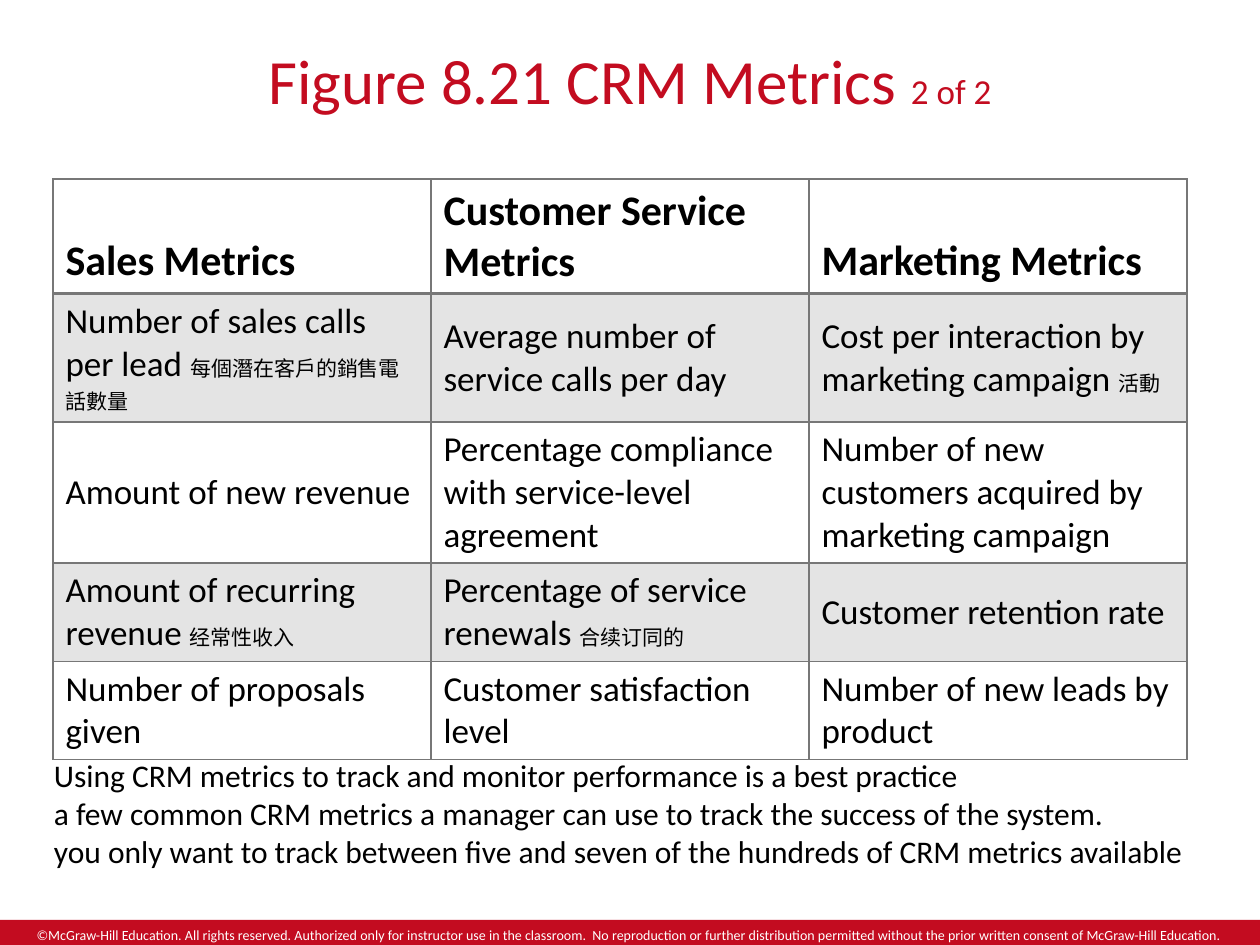
"""Builds the CRM metrics table slide."""
from lxml.etree import SubElement
from pptx import Presentation
from pptx.dml.color import RGBColor
from pptx.enum.shapes import MSO_SHAPE
from pptx.enum.text import MSO_ANCHOR, PP_ALIGN
from pptx.oxml.ns import qn
from pptx.util import Inches, Pt

RED = RGBColor(0xC3, 0x0C, 0x20)
WHITE = RGBColor(0xFF, 0xFF, 0xFF)
BLACK = RGBColor(0, 0, 0)
BAND = RGBColor(0xE4, 0xE4, 0xE4)
RULE = RGBColor(0x77, 0x77, 0x77)

ROW_HEIGHTS = [0.91, 1.02, 1.12, 0.78, 0.78]
METRICS = [
    [("Sales Metrics",), ("Customer Service Metrics",), ("Marketing Metrics",)],
    [("Number of sales calls per lead ", "每個潛在客戶的銷售電話數量"),
     ("Average number of service calls per day",),
     ("Cost per interaction by marketing campaign ", "活動")],
    [("Amount of new revenue",),
     ("Percentage compliance with service-level agreement",),
     ("Number of new customers acquired by marketing campaign",)],
    [("Amount of recurring revenue ", "经常性收入"),
     ("Percentage of service renewals ", "合续订同的"),
     ("Customer retention rate",)],
    [("Number of proposals given",), ("Customer satisfaction level",),
     ("Number of new leads by product",)],
]
NOTES = [
    "Using CRM metrics to track and monitor performance is a best practice",
    "a few common CRM metrics a manager can use to track the success of the system.",
    "you only want to track between five and seven of the hundreds of CRM metrics available",
]
COPYRIGHT = (
    "©McGraw-Hill Education. All rights reserved. Authorized only for instructor use "
    "in the classroom.  No reproduction or further distribution permitted without "
    "the prior written consent of McGraw-Hill Education."
)


class SlideBuilder:
    """Holds the style and the current slide."""

    def __init__(self, page, font_name="Calibri"):
        self.page = page
        self.font_name = font_name

    def apply(self, target, formats):
        for name, value in formats.items():
            setattr(target, name, value)

    def fill_text(self, frame, paragraphs, color, align=PP_ALIGN.LEFT, bold=False):
        for index, spans in enumerate(paragraphs):
            para = frame.add_paragraph() if index else frame.paragraphs[0]
            para.alignment = align
            for text, size in spans:
                span = para.add_run()
                span.text = text
                self.apply(span.font, {"name": self.font_name, "size": Pt(size), "bold": bold})
                span.font.color.rgb = color

    def text(self, place, paragraphs, color, align=PP_ALIGN.LEFT, **formats):
        box = self.page.shapes.add_textbox(*map(Inches, place))
        self.apply(box.text_frame, {"word_wrap": True, **formats})
        self.fill_text(box.text_frame, paragraphs, color, align)

    def bar(self, place, paragraphs, fill, color):
        box = self.page.shapes.add_shape(MSO_SHAPE.RECTANGLE, *map(Inches, place))
        box.shadow.inherit = False
        box.fill.solid()
        box.fill.fore_color.rgb = fill
        box.line.fill.background()
        self.apply(box.text_frame, {"word_wrap": True, "vertical_anchor": MSO_ANCHOR.MIDDLE})
        self.fill_text(box.text_frame, paragraphs, color, PP_ALIGN.CENTER)

    def borders(self, cell, widths):
        properties = cell._tc.get_or_add_tcPr()
        for side, width in widths.items():
            line = SubElement(properties, qn(f"a:ln{side}"), w=str(Pt(width)))
            fill = SubElement(line, qn("a:solidFill"))
            SubElement(fill, qn("a:srgbClr"), val=str(RULE))

    def table(self, place, rows, heights):
        frame = self.page.shapes.add_table(len(rows), len(rows[0]), *map(Inches, place))
        table = frame.table
        self.apply(table, {"first_row": False, "horz_banding": False})
        for r, (row, height) in enumerate(zip(rows, heights)):
            table.rows[r].height = Inches(height)
            header = r == 0
            for c, texts in enumerate(row):
                cell = table.cell(r, c)
                cell.vertical_anchor = MSO_ANCHOR.BOTTOM if header else MSO_ANCHOR.MIDDLE
                self.borders(cell, {"L": 1, "R": 1, "T": 2 if r == 1 else 1,
                                    "B": 2 if header else 1})
                cell.fill.solid()
                cell.fill.fore_color.rgb = BAND if r % 2 else WHITE
                spans = zip(texts, (24 if header else 20, 12))
                self.fill_text(cell.text_frame, [spans], BLACK, bold=header)


def main():
    deck = Presentation()
    deck.slide_width, deck.slide_height = Inches(10), Inches(7.5)
    builder = SlideBuilder(deck.slides.add_slide(deck.slide_layouts[6]))
    builder.bar((0, 7.3, 10, 0.24), [[(COPYRIGHT, 8)]], RED, WHITE)
    builder.text((0, 0.25, 10, 0.67), [[("Figure 8.21 CRM Metrics ", 36), ("2 of 2", 20)]],
                 RED, PP_ALIGN.CENTER, margin_top=Inches(0.08))
    builder.table((0.42, 1.42, 9, sum(ROW_HEIGHTS)), METRICS, ROW_HEIGHTS)
    builder.text((0.33, 5.95, 9.33, 1.01), [[(note, 18)] for note in NOTES], BLACK)
    deck.save("out.pptx")


if __name__ == "__main__":
    main()
